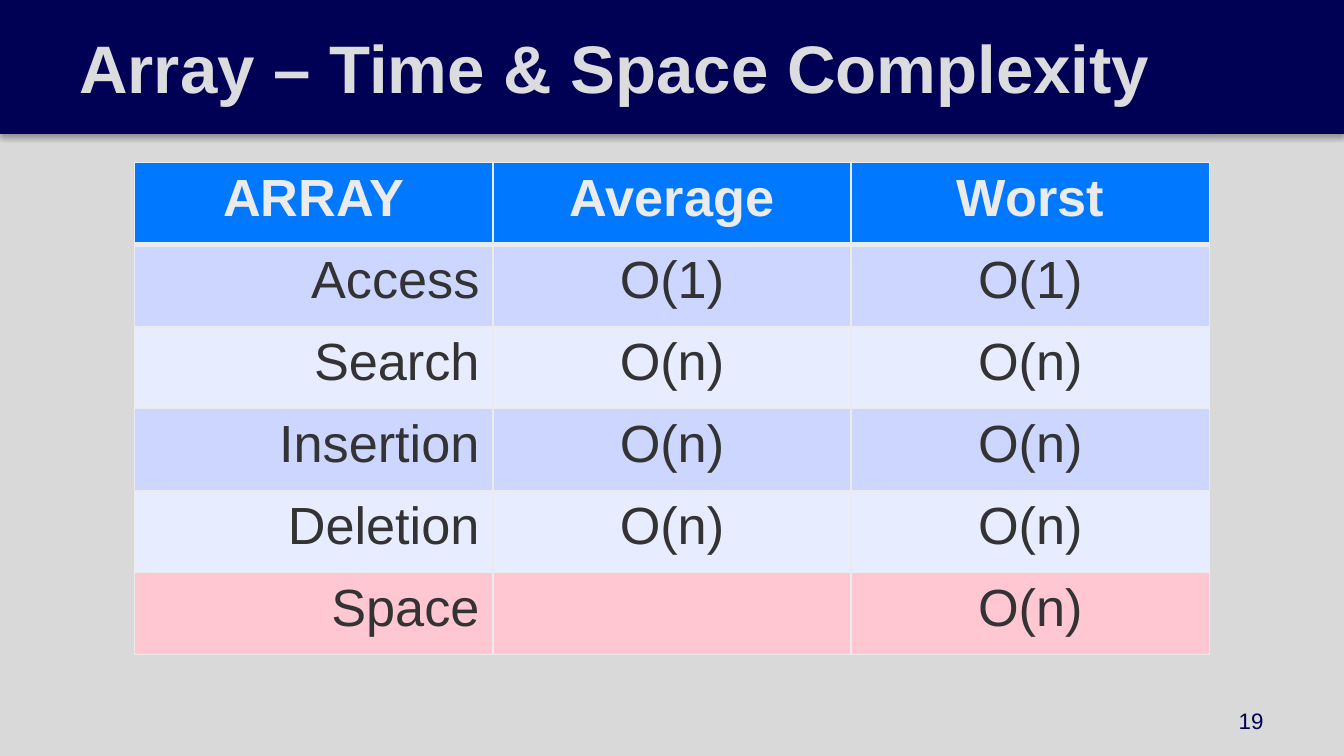
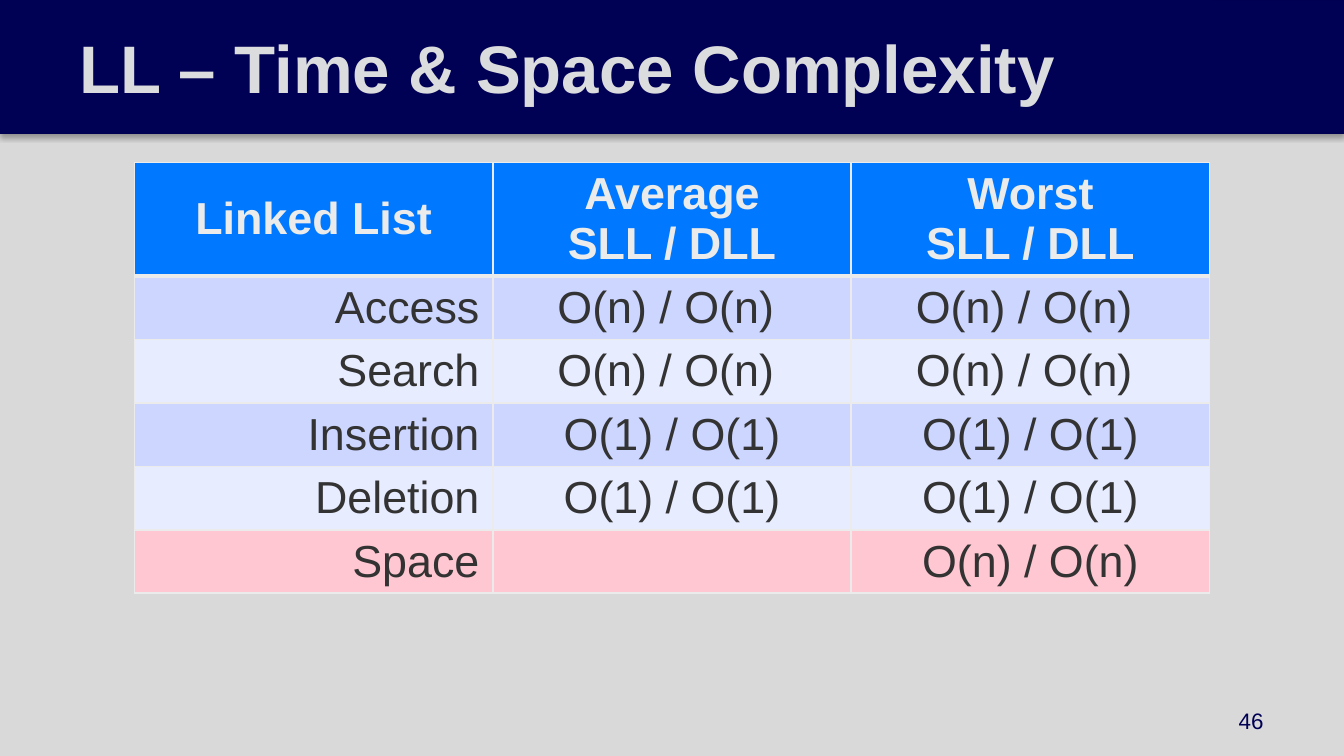
"""Build two slides that compare the complexity of arrays and linked lists."""
from dataclasses import dataclass

from lxml import etree
from pptx import Presentation
from pptx.dml.color import RGBColor
from pptx.enum import shapes, text
from pptx.oxml import ns
from pptx.util import Inches, Pt

SLIDES = [
    {
        "title": "Array – Time & Space Complexity",
        "number": "19",
        "size": 28,
        "row_height": 0.61,
        "rows": [
            ("ARRAY", "Average", "Worst"),
            ("Access", "O(1)", "O(1)"),
            ("Search", "O(n)", "O(n)"),
            ("Insertion", "O(n)", "O(n)"),
            ("Deletion", "O(n)", "O(n)"),
            ("Space", "", "O(n)"),
        ],
    },
    {
        "title": "LL – Time & Space Complexity",
        "number": "46",
        "size": 24,
        "row_height": 0.39,
        "rows": [
            ("Linked List", "Average\nSLL / DLL", "Worst\nSLL / DLL"),
            ("Access", "O(n) / O(n) ", "O(n) / O(n) "),
            ("Search", "O(n) / O(n) ", "O(n) / O(n) "),
            ("Insertion", "O(1) / O(1)", "O(1) / O(1)"),
            ("Deletion", "O(1) / O(1)", "O(1) / O(1)"),
            ("Space", "", "O(n) / O(n)"),
        ],
    },
]


@dataclass(frozen=True)
class Theme:
    font: str = "Arial"
    page: str = "D9D9D9"
    band: str = "000054"
    band_line: str = "000052"
    title: str = "DBDCDD"
    header: str = "0078FF"
    light: str = "EBEBEB"
    ink: str = "333333"
    stripes: tuple = ("CCD6FF", "E7ECFF")
    space: str = "FFC7D1"
    title_size: int = 36
    number_size: int = 12
    border: int = 1
    header_border: int = 3


THEME = Theme()
WIDTH = Inches(10)
HEIGHT = WIDTH * 9 // 16
BAND_HEIGHT = Inches(0.99)
ALIGN = text.PP_ALIGN


def paint(fill, color):
    fill.solid()
    fill.fore_color.rgb = RGBColor.from_string(color)


def style(frame, size, color, align, bold=False):
    for para in frame.paragraphs:
        para.alignment = align
        for span in para.runs:
            span.font.name = THEME.font
            span.font.size = Pt(size)
            span.font.bold = bold
            span.font.color.rgb = RGBColor.from_string(color)


def add_child(parent, tag, **attributes):
    child = etree.SubElement(parent, ns.qn(tag))
    for name, value in attributes.items():
        child.set(name, str(value))
    return child


def add_band(page):
    band = page.shapes.add_shape(shapes.MSO_SHAPE.RECTANGLE, 0, 0, WIDTH, BAND_HEIGHT)
    paint(band.fill, THEME.band)
    paint(band.line.fill, THEME.band_line)
    band.line.width = Pt(0.75)
    effects = add_child(band._element.spPr, "a:effectLst")
    shadow = add_child(effects, "a:outerShdw", blurRad=Pt(3.1), dist=Pt(1.8),
                       dir=90 * 60000, rotWithShape=0)
    color = add_child(shadow, "a:srgbClr", val="000000")
    add_child(color, "a:alpha", val=35000)
    page.shapes._spTree.insert(2, band._element)


def add_title(page, words):
    title = page.shapes.title
    title.left, title.top, title.width, title.height = 0, 0, Inches(9.03), BAND_HEIGHT
    paint(title.fill, THEME.band)
    frame = title.text_frame
    frame.text = words
    frame.auto_size = text.MSO_AUTO_SIZE.NONE
    frame.vertical_anchor = text.MSO_ANCHOR.MIDDLE
    frame.margin_left = frame.margin_right = Inches(0.4)
    frame.margin_top = frame.margin_bottom = Inches(0.1)
    properties = frame.paragraphs[0]._p.get_or_add_pPr()
    properties.set("marL", str(Inches(0.19)))
    properties.set("indent", "0")
    style(frame, THEME.title_size, THEME.title, ALIGN.LEFT, bold=True)


def add_borders(cell, top, bottom):
    properties = cell._tc.get_or_add_tcPr()
    widths = {"L": THEME.border, "R": THEME.border, "T": top, "B": bottom}
    for side, width in widths.items():
        line = add_child(properties, f"a:ln{side}", w=Pt(width))
        add_child(add_child(line, "a:solidFill"), "a:srgbClr", val=THEME.light)


def row_fill(row, last):
    if row == 0:
        return THEME.header
    return THEME.space if row == last else THEME.stripes[(row - 1) % 2]


def add_complexity_table(page, content):
    rows = content["rows"]
    last = len(rows) - 1
    table = page.shapes.add_table(
        len(rows), len(rows[0]), Inches(1), Inches(1.21), Inches(8),
        Inches(content["row_height"]) * len(rows)).table
    table.horz_banding = False
    for row, values in enumerate(rows):
        header = row == 0
        for column, value in enumerate(values):
            cell = table.cell(row, column)
            cell.text_frame.text = value
            add_borders(cell, THEME.header_border if row == 1 else THEME.border,
                        THEME.header_border if header else THEME.border)
            paint(cell.fill, row_fill(row, last))
            if header and "\n" not in value and "\n" in values[-1]:
                cell.vertical_anchor = text.MSO_ANCHOR.MIDDLE
            style(cell.text_frame, content["size"],
                  THEME.light if header else THEME.ink,
                  ALIGN.RIGHT if column == 0 and not header else ALIGN.CENTER,
                  bold=header)


def add_number(page, number):
    box = page.shapes.add_textbox(Inches(7.17), Inches(5.21), Inches(2.33), Inches(0.3))
    frame = box.text_frame
    frame.word_wrap = True
    frame.vertical_anchor = text.MSO_ANCHOR.MIDDLE
    frame.text = number
    style(frame, THEME.number_size, THEME.band, ALIGN.RIGHT)


def main():
    deck = Presentation()
    deck.slide_width, deck.slide_height = WIDTH, HEIGHT
    paint(deck.slide_master.background.fill, THEME.page)
    for content in SLIDES:
        page = deck.slides.add_slide(deck.slide_layouts.get_by_name("Title Only"))
        add_band(page)
        add_title(page, content["title"])
        add_complexity_table(page, content)
        add_number(page, content["number"])
    deck.save("out.pptx")


if __name__ == "__main__":
    main()
